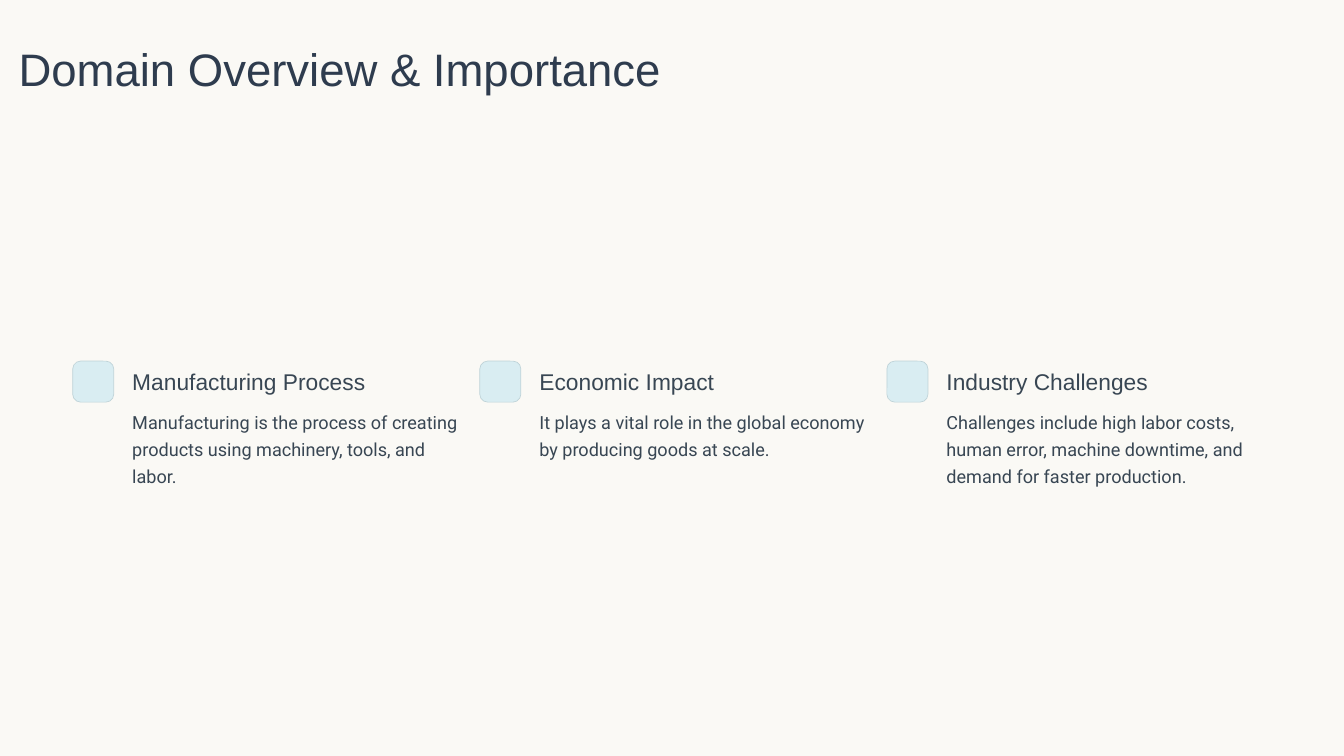
import pptx
import pptx.util
import pptx.dml.color
import pptx.enum.shapes
import pptx.enum.text
from pptx.util import Cm, Pt


def color(hex_value):
    return pptx.dml.color.RGBColor.from_string(hex_value)


class Deck:
    heading_font = "Arial"
    body_font = "Roboto"
    background = "FAF9F5"
    title_color = "2E3C4E"
    text_color = "384653"
    marker_fill = "D9EDF2"
    marker_line = "BFD3D8"

    def __init__(self):
        self.prs = pptx.Presentation()
        self.prs.slide_width, self.prs.slide_height = Cm(40.64), Cm(22.86)
        self.s = None

    def add_slide(self):
        self.s = self.prs.slides.add_slide(self.prs.slide_layouts[5])
        fill = self.s.background.fill
        fill.solid()
        fill.fore_color.rgb = color(self.background)

    def set_text(self, sp, text, font, size, spacing, hex_value, wrap):
        tf = sp.text_frame
        tf.margin_left = tf.margin_top = tf.margin_right = tf.margin_bottom = 0
        tf.auto_size = pptx.enum.text.MSO_AUTO_SIZE.NONE
        tf.vertical_anchor = pptx.enum.text.MSO_ANCHOR.TOP
        tf.word_wrap = wrap
        p = tf.paragraphs[0]
        p.text = text
        p.alignment = pptx.enum.text.PP_ALIGN.LEFT
        p.line_spacing = Pt(spacing)
        p.font.name, p.font.size = font, Pt(size)
        p.font.color.rgb = color(hex_value)

    def title(self, text, x, y, w, h):
        sp = self.s.shapes.title
        sp.left, sp.top, sp.width, sp.height = Cm(x), Cm(y), Cm(w), Cm(h)
        self.set_text(sp, text, self.heading_font, 39, 48.5, self.title_color, False)

    def heading(self, text, x, y, w, h):
        sp = self.s.shapes.add_textbox(Cm(x), Cm(y), Cm(w), Cm(h))
        self.set_text(sp, text, self.heading_font, 19.5, 24, self.text_color, False)

    def body(self, text, x, y, w, h):
        sp = self.s.shapes.add_textbox(Cm(x), Cm(y), Cm(w), Cm(h))
        self.set_text(sp, text, self.body_font, 15.5, 23, self.text_color, True)

    def marker(self, x, y, size):
        sp = self.s.shapes.add_shape(
            pptx.enum.shapes.MSO_SHAPE.ROUNDED_RECTANGLE,
            Cm(x), Cm(y), Cm(size), Cm(size))
        sp.adjustments[0] = 0.19
        sp.shadow.inherit = False
        sp.fill.solid()
        sp.fill.fore_color.rgb = color(self.marker_fill)
        sp.line.color.rgb = color(self.marker_line)
        sp.line.width = Pt(0.6)


def main():
    deck = Deck()
    deck.add_slide()

    # Title
    deck.title("Domain Overview & Importance", 0.56, 1.17, 20.17, 1.73)

    # Three topic columns: marker, heading, description
    topics = [
        ("Manufacturing Process",
         "Manufacturing is the process of creating products using machinery, "
         "tools, and labor."),
        ("Economic Impact",
         "It plays a vital role in the global economy by producing goods at scale."),
        ("Industry Challenges",
         "Challenges include high labor costs, human error, machine downtime, "
         "and demand for faster production."),
    ]
    first_left, column_step, text_indent = 2.2, 12.31, 1.8
    for i, (heading, description) in enumerate(topics):
        x = first_left + i * column_step
        deck.marker(x, 10.92, 1.24)
        deck.heading(heading, x + text_indent, 11.1, 7, 0.86)
        deck.body(description, x + text_indent, 12.29, 9.83, 2.49)

    deck.prs.save("out.pptx")


if __name__ == "__main__":
    main()
